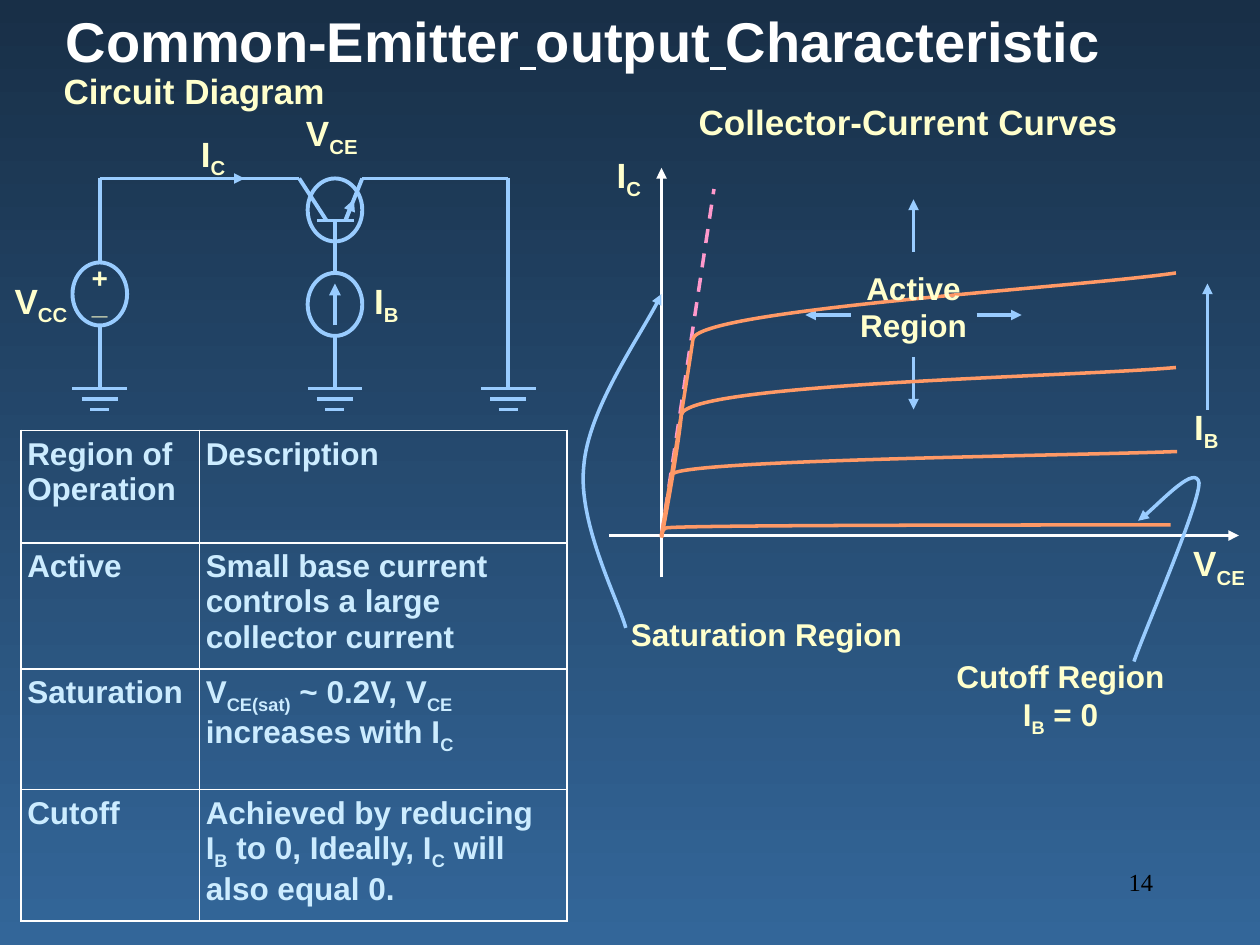
from lxml.etree import SubElement
from pptx import Presentation
from pptx.dml.color import RGBColor
from pptx.enum.dml import MSO_LINE
from pptx.enum.shapes import MSO_CONNECTOR, MSO_SHAPE
from pptx.enum.text import MSO_ANCHOR, PP_ALIGN
from pptx.oxml.ns import qn
from pptx.util import Pt

PX = 7620  # 120 px to the inch
THEME = {
    "top": "182F47", "bottom": "336699", "white": "FFFFFF", "black": "000000",
    "label": "FFFFCC", "cell": "CCECFF", "wire": "99CCFF", "curve": "FF9966",
    "limit": "FF99CC", "font": "Arial", "number_font": "Times New Roman",
    "title": 32, "head": 20, "body": 18, "sign": 16, "number": 14,
}
SUBSCRIPT = ("baseline", "-25000")
UNDERLINE = ("u", "sng")


def write(tf, lines, size, color, align=PP_ALIGN.CENTER, mark=SUBSCRIPT,
          font="font", bold=True):
    """Fill a text frame; text between bars gets the mark."""
    for i, line in enumerate(lines):
        p = tf.paragraphs[0] if i == 0 else tf.add_paragraph()
        first, *rest = line.split("|")
        p.text = first
        for piece in rest:
            p.add_run().text = piece
        p.alignment = align
        for j, r in enumerate(p.runs):
            r.font.name = THEME[font]
            r.font.size = Pt(THEME[size])
            r.font.bold = bold
            r.font.color.rgb = RGBColor.from_string(THEME[color])
            if j % 2:
                r.font._element.set(*mark)


def stroke(sp, color="wire", width=2, arrow=False):
    """Outline a shape or connector, without shadow."""
    sp.line.color.rgb = RGBColor.from_string(THEME[color])
    sp.line.width = Pt(width)
    if arrow:
        SubElement(sp.line._get_or_add_ln(), qn("a:tailEnd"), type="triangle")
    SubElement(sp._element.spPr, qn("a:effectLst"))


prs = Presentation()
prs.slide_width, prs.slide_height = 1200 * PX, 900 * PX
s = prs.slides.add_slide(prs.slide_layouts[6])

# Background
fill = s.background.fill
fill.gradient()
fill.gradient_angle = 270
for stop, name in zip(fill.gradient_stops, ("top", "bottom")):
    stop.color.rgb = RGBColor.from_string(THEME[name])

# Circuit: voltage source, transistor and current source
SUPPLY, BASE, RETURN = 95, 319, 484
for x, y, signs in [(SUPPLY, 250, ["+", "_"]), (BASE, 170, []), (BASE, 260, [])]:
    sp = s.shapes.add_shape(MSO_SHAPE.OVAL, (x - 26) * PX, y * PX, 52 * PX, 60 * PX)
    sp.fill.background()
    stroke(sp, width=2.25)
    tf = sp.text_frame
    tf.word_wrap = False
    tf.vertical_anchor = MSO_ANCHOR.MIDDLE
    write(tf, signs, "sign", "label")
    for p in tf.paragraphs:
        p.line_spacing = 0.75

# Straight lines: x1, y1, x2, y2, colour, width, arrow
wires = [
    (SUPPLY, 250, SUPPLY, 170), (SUPPLY, 170, 285, 170), (285, 170, 311, 210),
    (302, 210, 337, 210), (329, 210, 345, 170), (345, 170, RETURN, 170),
    (BASE, 210, BASE, 260), (SUPPLY, 310, SUPPLY, 370), (BASE, 320, BASE, 370),
]
grounds = [(x - half, y, x + half, y) for x in (SUPPLY, BASE, RETURN)
           for half, y in ((26, 370), (17, 380), (9, 390))]
lines = [(*ends, "wire", 2.25, False) for ends in wires + grounds]
lines += [
    (BASE, 310, BASE, 270, "wire", 2.25, True),
    (329, 210, 337, 190, "wire", 2.25, True),
    (RETURN, 170, RETURN, 370, "wire", 2, False),
    (173, 170, 233, 170, "wire", 2, True),
    # Axes
    (630, 550, 630, 160, "white", 2, True),
    (580, 510, 1180, 510, "white", 2, True),
    # Saturation limit
    (630, 510, 680, 180, "limit", 2, False),
    # Active region and rising base current
    (930, 300, 973, 300, "wire", 2, True),
    (870, 240, 870, 190, "wire", 2, True),
    (810, 300, 767, 300, "wire", 2, True),
    (870, 340, 870, 390, "wire", 2, True),
    (1150, 390, 1150, 270, "wire", 2, True),
]
for x1, y1, x2, y2, color, width, arrow in lines:
    c = s.shapes.add_connector(MSO_CONNECTOR.STRAIGHT, x1 * PX, y1 * PX, x2 * PX, y2 * PX)
    stroke(c, color, width, arrow)
    if color == "limit":
        c.line.dash_style = MSO_LINE.DASH

# Collector curves and callout arrows: start, then three Bézier points a segment
curves = [
    ("curve", [(630, 510), (630, 509), (630, 505), (634, 503),
               (637, 500), (1014, 500), (1115, 500)]),
    ("curve", [(630, 510), (632, 500), (636, 467), (640, 452),
               (643, 438), (1020, 434), (1121, 430)]),
    ("curve", [(630, 512), (634, 493), (646, 426), (649, 395),
               (654, 365), (1022, 359), (1120, 350)]),
    ("curve", [(630, 512), (635, 481), (656, 352), (660, 323),
               (664, 295), (1025, 274), (1120, 260)]),
    ("wire", [(596, 598), (589, 572), (550, 498), (556, 444),
              (560, 391), (614, 314), (630, 280)]),
    ("wire", [(1080, 630), (1090, 601), (1142, 482), (1142, 460),
              (1139, 442), (1097, 487), (1084, 496)]),
]
for color, points in curves:
    fb = s.shapes.build_freeform(*points[0], scale=PX)
    fb.add_line_segments(points[1:], close=False)
    sp = fb.convert_to_shape()
    sp.fill.background()
    stroke(sp, color, arrow=color == "wire")
    outline = sp._element.find(".//" + qn("a:path"))
    steps = outline.findall(qn("a:lnTo"))
    for i in range(0, len(steps), 3):
        bezier = SubElement(outline, qn("a:cubicBezTo"))
        for step in steps[i:i + 3]:
            bezier.append(step[0])
            outline.remove(step)

# Titles and labels: left, top, width, height, size, lines
labels = [
    (0, 60, 370, 53, "head", ["Circuit Diagram"]),
    (650, 90, 430, 53, "head", ["Collector-Current Curves"]),
    (790, 250, 160, 84, "body", ["Active Region"]),
    (570, 580, 320, 48, "body", ["Saturation Region"]),
    (890, 620, 240, 89, "body", ["Cutoff Region", "I|B| = 0"]),
]
labels += [(x, y, 78, 58, "head", [text]) for x, y, text in [
    (0, 260, "V|CC"), (164, 120, "I|C"), (277, 100, "V|CE"), (329, 260, "I|B"),
    (1122, 510, "V|CE"), (560, 140, "I|C"), (1110, 380, "I|B"),
]]
styled = [(*label, "label", {}) for label in labels]
styled += [
    (30, 0, 1050, 77, "title", ["Common-Emitter| |output| |Characteristic"], "white",
     {"mark": UNDERLINE}),
    (860, 820, 250, 60, "number", ["14"], "black",
     {"align": PP_ALIGN.RIGHT, "font": "number_font", "bold": False}),
]
for x, y, w, h, size, text, color, options in styled:
    tf = s.shapes.add_textbox(x * PX, y * PX, w * PX, h * PX).text_frame
    tf.word_wrap = True
    write(tf, text, size, color, **options)

# Table of operating regions
rows = [
    ("Region of Operation", "Description"),
    ("Active", "Small base current controls a large collector current"),
    ("Saturation", "V|CE(sat)| ~ 0.2V, V|CE| increases with I|C"),
    ("Cutoff", "Achieved by reducing I|B| to 0, Ideally, I|C| will also equal 0."),
]
table = s.shapes.add_table(4, 2, 20 * PX, 410 * PX, 520 * PX, 468 * PX).table
table.first_row = table.horz_banding = False
for column, w in zip(table.columns, (170, 350)):
    column.width = w * PX
for row, h, texts in zip(table.rows, (107, 120, 115, 125), rows):
    row.height = h * PX
    for cell, text in zip(row.cells, texts):
        cell.margin_left = cell.margin_right = 6 * PX
        cell.margin_top = cell.margin_bottom = 6 * PX
        write(cell.text_frame, [text], "body", "cell", PP_ALIGN.LEFT)
        for side in ("lnL", "lnR", "lnT", "lnB"):
            ln = SubElement(cell._tc.get_or_add_tcPr(), qn("a:" + side), w=str(Pt(1.08)))
            paint = SubElement(ln, qn("a:solidFill"))
            SubElement(paint, qn("a:srgbClr"), val=THEME["white"])
        cell.fill.background()

prs.save("out.pptx")
